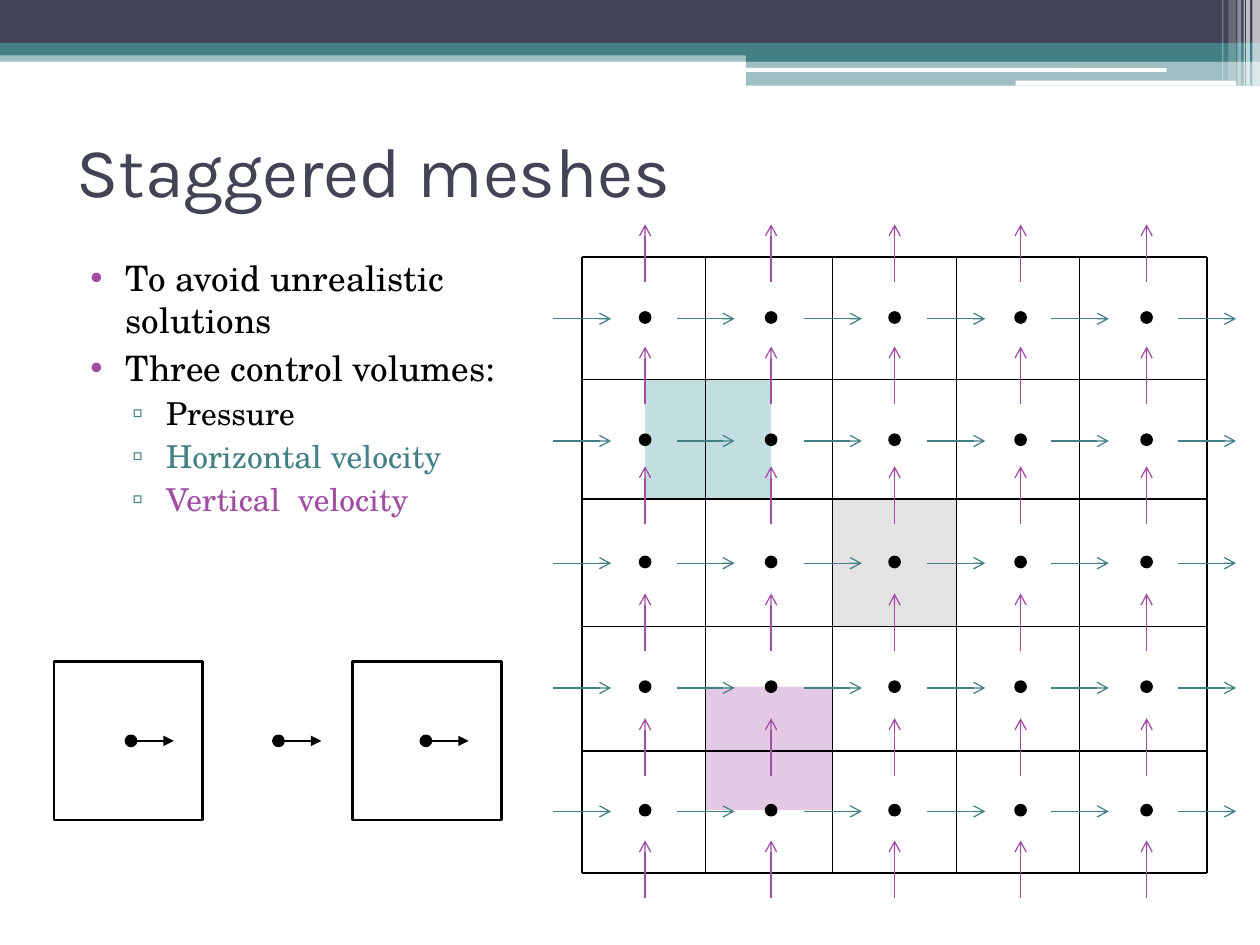
from dataclasses import dataclass
from itertools import product

from lxml.etree import SubElement
from pptx import Presentation
from pptx.dml.color import RGBColor
from pptx.enum.shapes import MSO_CONNECTOR, MSO_SHAPE as SHAPE
from pptx.enum.text import MSO_ANCHOR as ANCHOR
from pptx.oxml.ns import qn
from pptx.util import Inches, Pt

COLORS = {
    "ink": "000000", "paper": "FFFFFF", "navy": "424456", "teal": "438086",
    "purple": "A04DA3", "pale_teal": "ADD2D6", "pale_purple": "DBB6DC", "grey": "D9D9D9",
}
COLUMNS, ROWS = 100, 75
UNIT = Inches(10) // COLUMNS
DOT = 0.8
ARROW = 4.6


@dataclass
class Box:
    """A region in columns and rows of the slide grid."""
    x: float
    y: float
    w: float
    h: float

    def inner(self, x, y, w, h):
        """Return a box placed relative to this one."""
        return Box(self.x + x, self.y + y, w, h)

    def emu(self):
        """Return left, top, width and height as slide lengths."""
        return [round(length * UNIT) for length in (self.x, self.y, self.w, self.h)]


def rgb(name):
    """Look up a named colour."""
    return RGBColor.from_string(COLORS[name])


def add_block(shapes, box, fill, opacity=100, outline=0, kind=SHAPE.RECTANGLE):
    """Draw a filled preset shape with an optional black outline."""
    block = shapes.add_shape(kind, *box.emu())
    block.shadow.inherit = False
    block.fill.solid()
    block.fill.fore_color.rgb = rgb(fill)
    if opacity < 100:
        color = block._element.spPr.find(".//" + qn("a:srgbClr"))
        SubElement(color, qn("a:alpha"), val=str(opacity * 1000))
    if outline:
        block.line.color.rgb = rgb("ink")
        block.line.width = Pt(outline)
    else:
        block.line.fill.background()


def add_dot(shapes, x, y):
    """Draw a mesh node centred on a point."""
    add_block(shapes, Box(x - DOT / 2, y - DOT / 2, DOT, DOT), "ink", outline=1.5, kind=SHAPE.OVAL)


def add_line(shapes, x, y, dx, dy, color="ink", width=0.75, head=None):
    """Draw a line from a point by an offset, with an optional arrowhead."""
    ends = [round(length * UNIT) for length in (x, y, x + dx, y + dy)]
    line = shapes.add_connector(MSO_CONNECTOR.STRAIGHT, *ends)
    line.line.color.rgb = rgb(color)
    line.line.width = Pt(width)
    if head:
        SubElement(line._element.spPr.find(qn("a:ln")), qn("a:tailEnd"), type=head)
    SubElement(line._element.spPr, qn("a:effectLst"))


def set_font(paragraph, name, size, color):
    """Set the typeface, size and colour of a paragraph."""
    paragraph.font.name = name
    paragraph.font.size = Pt(size)
    paragraph.font.color.rgb = rgb(color)


def set_bullet(paragraph, mark, color, margin, hanging):
    """Give a paragraph a coloured bullet and a hanging indent."""
    props = paragraph._p.get_or_add_pPr()
    props.set("marL", str(round(margin * UNIT)))
    props.set("indent", str(round(-hanging * UNIT)))
    SubElement(SubElement(props, qn("a:buClr")), qn("a:srgbClr"), val=COLORS[color])
    SubElement(props, qn("a:buFont"), typeface="Arial")
    SubElement(props, qn("a:buChar"), char=mark)


def add_banner(shapes, box):
    """Draw the layered band across the top of the slide."""
    for x, y, w, h, fill, opacity in [
        (0, 4, 100, 0.9, "teal", 50), (0, 0, 100, 3.4, "navy", 100),
        (0, 3.4, 100, 1, "teal", 100), (59.2, 3.9, 40.8, 1, "teal", 100),
        (59.2, 4.8, 40.8, 2, "teal", 50),
    ]:
        add_block(shapes, box.inner(x, y, w, h), fill, opacity)
    for x, y, w, h in [(59.1, 5.4, 33.5, 0.3), (80.6, 6.4, 17.5, 0.4)]:
        add_block(shapes, box.inner(x, y, w, h), "paper", kind=SHAPE.ROUNDED_RECTANGLE)
    for x, w, h, opacity in [
        (99.4, 0.6, 6.8, 65), (98.9, 0.3, 6.8, 65), (98.7, 0.1, 6.8, 60),
        (98.2, 0.3, 6.8, 40), (97.5, 0.6, 6.4, 20), (97, 0.1, 6.4, 30),
    ]:
        add_block(shapes, box.inner(x, 0, w, h), "paper", opacity)


def add_title(shapes, box, title):
    """Write the slide title."""
    frame = shapes.add_textbox(*box.emu()).text_frame
    frame.word_wrap = True
    frame.vertical_anchor = ANCHOR.MIDDLE
    frame.text = title
    set_font(frame.paragraphs[0], "Karla", 40, "navy")


def add_points(shapes, box, points):
    """Write the two-level bullet list."""
    levels = [("•", "purple", 4, 2.8, 20), ("▫", "teal", 7.2, 2.7, 18)]
    frame = shapes.add_textbox(*box.emu()).text_frame
    frame.word_wrap = True
    for index, (level, wording, color) in enumerate(points):
        point = frame.paragraphs[0] if index == 0 else frame.add_paragraph()
        mark, mark_color, margin, hanging, size = levels[level]
        point.text = wording
        point.level = level
        point.space_before = Pt(3 if index else 0)
        set_bullet(point, mark, mark_color, margin, hanging)
        set_font(point, "TeX Gyre Schola", size, color)


def add_mesh(shapes, box):
    """Draw the staggered mesh with its nodes, velocities and control volumes."""
    edge_x = [box.x + x for x in (0, 9.8, 19.9, 29.7, 39.5, box.w)]
    edge_y = [box.y + y for y in (0, 9.7, 19.2, 29.3, 39.2, box.h)]
    node_x = [box.x + x for x in (5, 15, 24.8, 34.8, 44.8)]
    node_y = [box.y + y for y in (4.8, 14.5, 24.2, 34.1, 43.9)]
    for xs, ys, fill in [
        (edge_x[1:3], node_y[3:5], "pale_purple"),
        (node_x[0:2], edge_y[1:3], "pale_teal"),
        (edge_x[2:4], edge_y[2:4], "grey"),
    ]:
        volume = Box(xs[0], ys[0], xs[1] - xs[0], ys[1] - ys[0])
        add_block(shapes, volume, fill, 73)
    for index, (x, y) in enumerate(zip(edge_x, edge_y)):
        width = 1.5 if index in (0, 5) else 0.75
        add_line(shapes, x, box.y, 0, box.h, width=width)
        add_line(shapes, box.x, y, box.w, 0, width=width)
    for x, y in product(node_x, node_y):
        add_dot(shapes, x, y)
    for x, y in product(edge_x, node_y):
        add_line(shapes, x - ARROW / 2, y + 0.1, ARROW, 0, "teal", head="arrow")
    for x, y in product(node_x, edge_y):
        add_line(shapes, x, y + 2, 0, -ARROW, "purple", head="arrow")


def add_cells(shapes, box):
    """Draw two cells and the three node arrows running through them."""
    cell_w = 11.8
    for x in (0, box.w - cell_w):
        add_block(shapes, box.inner(x, 0, cell_w, box.h), "paper", outline=1.5)
    for step in range(3):
        x, y = box.x + 6.1 + 11.7 * step, box.y + box.h / 2
        add_line(shapes, x, y, 3.4, 0, head="triangle")
        add_dot(shapes, x, y)


def main():
    """Build the slide and save it."""
    deck = Presentation()
    deck.slide_width, deck.slide_height = COLUMNS * UNIT, ROWS * UNIT
    shapes = deck.slides.add_slide(deck.slide_layouts[6]).shapes
    add_banner(shapes, Box(0, 0, COLUMNS, 6.8))
    add_title(shapes, Box(5.1, 7.6, 90, 11.7), "Staggered meshes")
    add_points(shapes, Box(5, 19.9, 35.6, 23.1), [
        (0, "To avoid unrealistic solutions", "ink"),
        (0, "Three control volumes:", "ink"),
        (1, "Pressure", "ink"),
        (1, "Horizontal velocity", "teal"),
        (1, "Vertical  velocity", "purple"),
    ])
    add_mesh(shapes.add_group_shape().shapes, Box(46.2, 20.4, 49.6, 48.9))
    add_cells(shapes.add_group_shape().shapes, Box(4.3, 52.5, 35.5, 12.6))
    deck.save("out.pptx")


if __name__ == "__main__":
    main()
